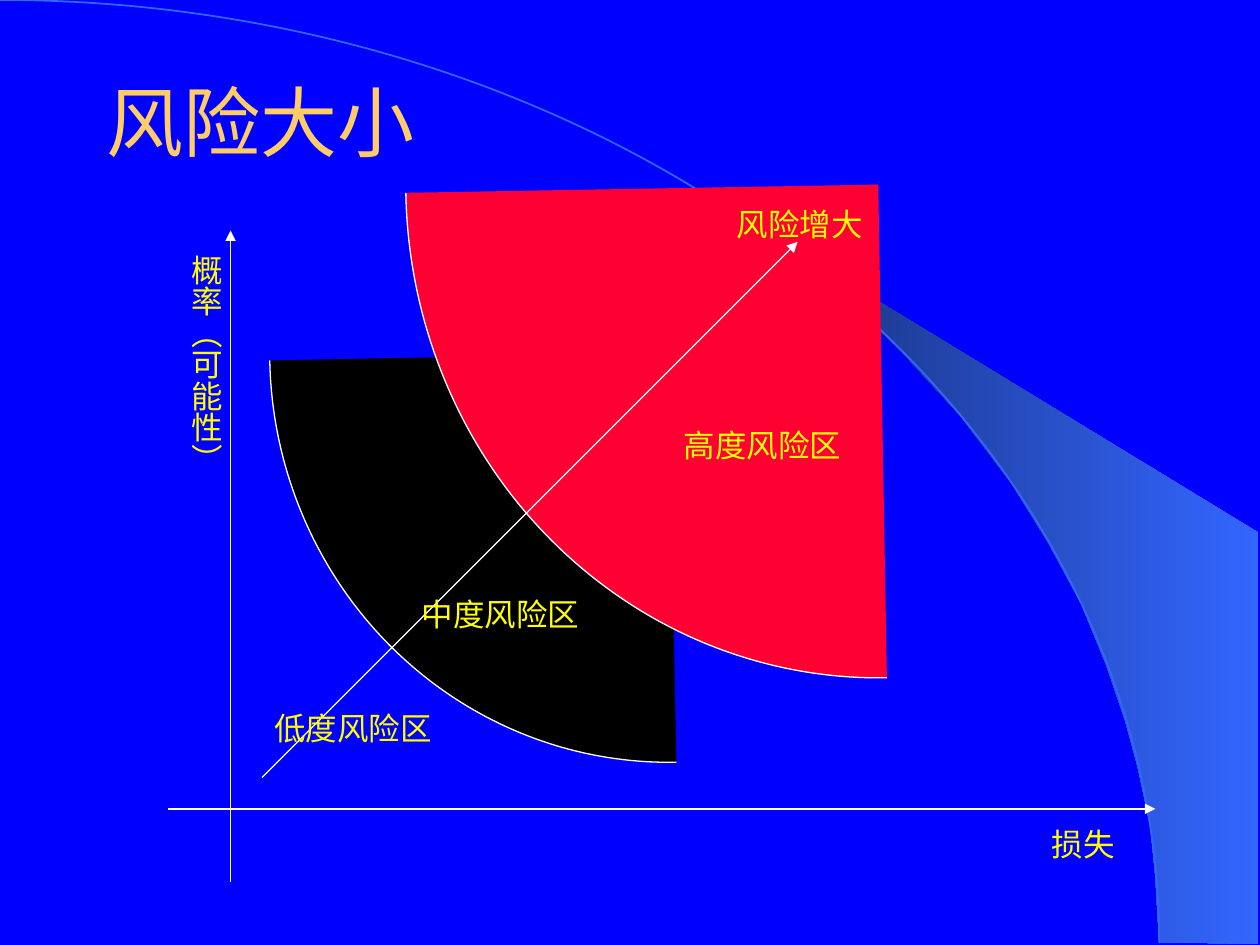
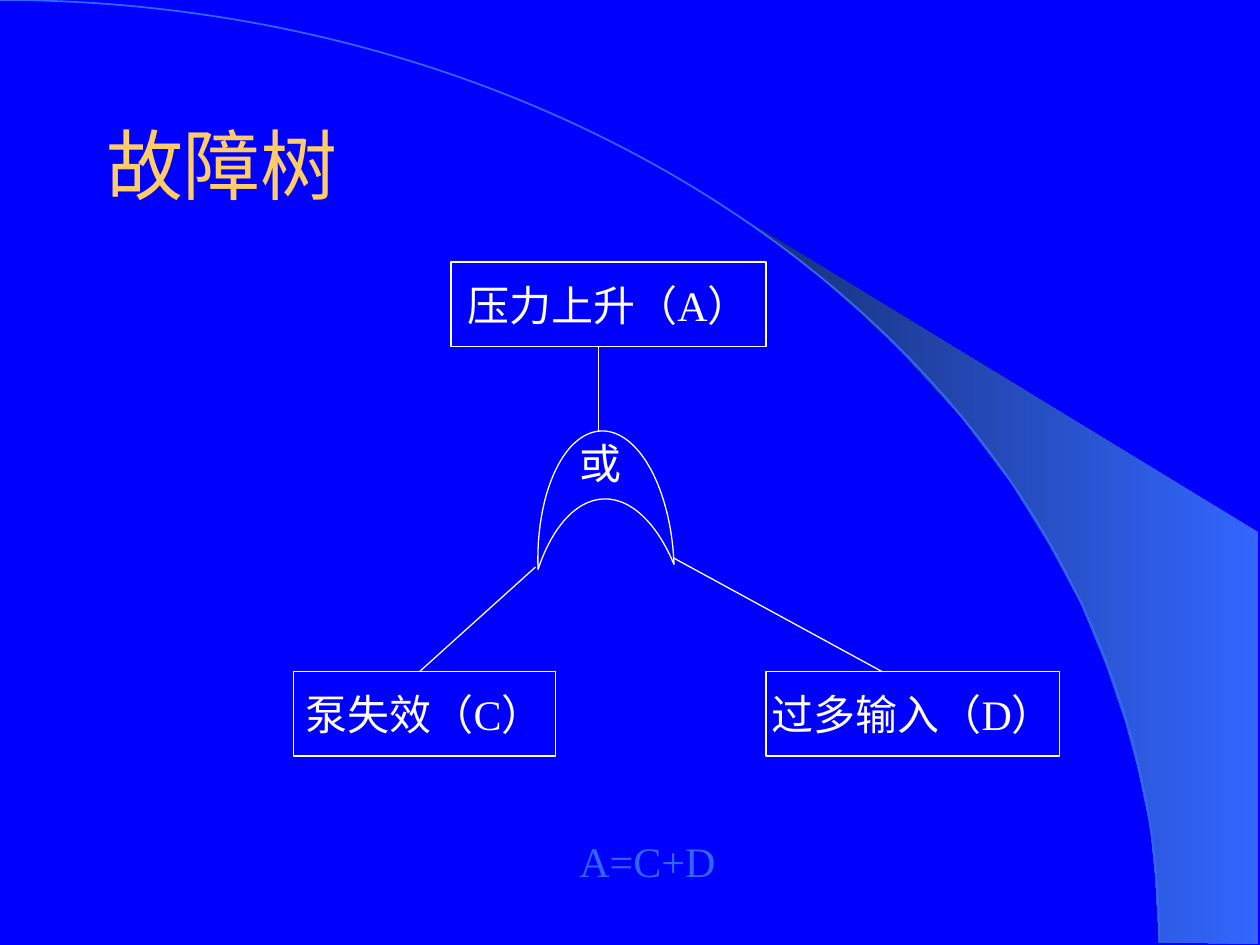
from lxml import etree
from pptx import Presentation
from pptx.dml.color import RGBColor as RGB
from pptx.enum.shapes import MSO_CONNECTOR as CONNECTOR, MSO_SHAPE as SHAPE
from pptx.enum.text import MSO_ANCHOR as ANCHOR, MSO_AUTO_SIZE as AUTO_SIZE, PP_ALIGN as ALIGN
from pptx.oxml.ns import qn
from pptx.util import Inches, Pt

COLORS = {
    "background": "0000FF",
    "accent": "3366FF",
    "shade": "172F75",
    "title": "FFCC66",
    "label": "FFFF00",
    "white": "FFFFFF",
    "medium": "000000",
    "high": "FF0033",
}
CHINESE_FONT = "Noto Sans CJK SC"
LATIN_FONT = "Times New Roman"


def add_figure(slide, kind, box, fill=None, line="white", line_width=0.75, rotation=0):
    shape = slide.shapes.add_shape(kind, *[Inches(value) for value in box])
    shape.rotation = rotation
    shape.shadow.inherit = False
    if fill:
        shape.fill.solid()
        shape.fill.fore_color.rgb = RGB.from_string(COLORS[fill])
    else:
        shape.fill.background()
    shape.line.color.rgb = RGB.from_string(COLORS[line])
    shape.line.width = Pt(line_width)
    return shape


def write_text(shape, text, size, color, font=LATIN_FONT, align=ALIGN.LEFT, anchor=ANCHOR.TOP, wrap=True):
    frame = shape.text_frame
    frame.word_wrap = wrap
    frame.vertical_anchor = anchor
    paragraph = frame.paragraphs[0]
    paragraph.text = text
    paragraph.alignment = align
    paragraph.font.size = Pt(size)
    paragraph.font.color.rgb = RGB.from_string(COLORS[color])
    paragraph.font.name = font
    defaults = paragraph._p.pPr.find(qn("a:defRPr"))
    etree.SubElement(defaults, qn("a:ea")).set("typeface", CHINESE_FONT)


presentation = Presentation()
presentation.slide_width = Inches(10)
presentation.slide_height = Inches(7.5)

BEAM = [
    (9.2, 7.48), (9.99, 7.49), (9.99, 4.23), (5.89, 1.73), (6.24, 1.99), (6.53, 2.22),
    (6.85, 2.5), (7.16, 2.8), (7.62, 3.3), (8.03, 3.84), (8.32, 4.31), (8.58, 4.79),
    (8.78, 5.28), (8.93, 5.72), (9.03, 6.09), (9.13, 6.56), (9.17, 6.96),
]

slides = []
for title, top, font in [("风险大小", 0.33, "Arial"), ("故障树", 0.67, CHINESE_FONT)]:
    slide = presentation.slides.add_slide(presentation.slide_layouts[6])
    slide.background.fill.solid()
    slide.background.fill.fore_color.rgb = RGB.from_string(COLORS["background"])
    points = [(Inches(x), Inches(y)) for x, y in BEAM]
    builder = slide.shapes.build_freeform(*points[0])
    builder.add_line_segments(points[1:], close=True)
    beam = builder.convert_to_shape()
    beam.shadow.inherit = False
    beam.line.fill.background()
    beam.fill.gradient()
    beam.fill.gradient_angle = 0
    for stop, position, color in zip(beam.fill.gradient_stops, (0, 1), ("shade", "accent")):
        stop.position = position
        stop.color.rgb = RGB.from_string(COLORS[color])
    add_figure(slide, SHAPE.ARC, (-9.2, 0, 18.4, 14.97), line="accent", line_width=1)
    title_box = slide.shapes.add_textbox(Inches(0.75), Inches(top), Inches(8.5), Inches(1.25))
    write_text(title_box, title, 44, "title", font, anchor=ANCHOR.MIDDLE)
    slides.append(slide)
risk_slide, tree_slide = slides

add_figure(risk_slide, SHAPE.ARC, (2.14, -0.45, 6.33, 6.5), "medium", rotation=178.9)
add_figure(risk_slide, SHAPE.ARC, (3.22, -2.45, 7.5, 7.83), "high", rotation=179)

events = [
    ("压力上升（A）", 3.58, 2.08, 2.5),
    ("过多输入（D）", 6.08, 5.33, 2.33),
    ("泵失效（C）", 2.33, 5.33, 2.08),
]
for text, left, top, width in events:
    event = add_figure(tree_slide, SHAPE.RECTANGLE, (left, top, width, 0.67), "background")
    write_text(event, text, 24, "white", align=ALIGN.CENTER, anchor=ANCHOR.MIDDLE, wrap=False)

lines = [
    (risk_slide, (1.33, 6.42), (9.17, 6.42), True),
    (risk_slide, (1.83, 7), (1.83, 1.83), True),
    (risk_slide, (2.08, 6.17), (6.33, 1.92), True),
    (tree_slide, (4.75, 2.75), (4.75, 3.42), False),
    (tree_slide, (4.25, 4.5), (3.33, 5.33), False),
    (tree_slide, (5.33, 4.42), (7, 5.33), False),
]
for slide, start, end, has_arrow in lines:
    connector = slide.shapes.add_connector(
        CONNECTOR.STRAIGHT, *[Inches(value) for value in start + end])
    connector.line.color.rgb = RGB.from_string(COLORS["white"])
    connector.line.width = Pt(0.75)
    properties = connector._element.spPr
    if has_arrow:
        etree.SubElement(properties.find(qn("a:ln")), qn("a:tailEnd")).set("type", "triangle")
    etree.SubElement(properties, qn("a:effectLst"))

add_figure(tree_slide, SHAPE.MOON, (4.25, 3.42, 1.08, 1.08), "background", rotation=87.9)

labels = [
    (risk_slide, "损失", 8.25, 6.5, 1.25, 0.4, 18, "label"),
    (risk_slide, "概率（可能性）", 1.34, 1.92, 0.5, 2.33, 18, "label"),
    (risk_slide, "风险增大", 5.75, 1.58, 1.75, 0.4, 18, "label"),
    (risk_slide, "高度风险区", 5.33, 3.33, 1.58, 0.4, 18, "label"),
    (risk_slide, "中度风险区", 3.25, 4.67, 1.58, 0.4, 18, "label"),
    (risk_slide, "低度风险区", 2.08, 5.58, 1.58, 0.4, 18, "label"),
    (tree_slide, "或", 4.5, 3.42, 0.67, 0.5, 24, "white"),
    (tree_slide, "A=C+D", 4.5, 6.58, 1.33, 0.5, 24, "accent"),
]
for slide, text, left, top, width, height, size, color in labels:
    label = slide.shapes.add_textbox(Inches(left), Inches(top), Inches(width), Inches(height))
    write_text(label, text, size, color)
    frame = label.text_frame
    frame.auto_size = AUTO_SIZE.SHAPE_TO_FIT_TEXT
    if height > width:
        frame.margin_left = frame.margin_right = Inches(0.05)
        frame.margin_top = frame.margin_bottom = Inches(0.1)
        frame._txBody.bodyPr.set("vert", "eaVert")

presentation.save("out.pptx")
